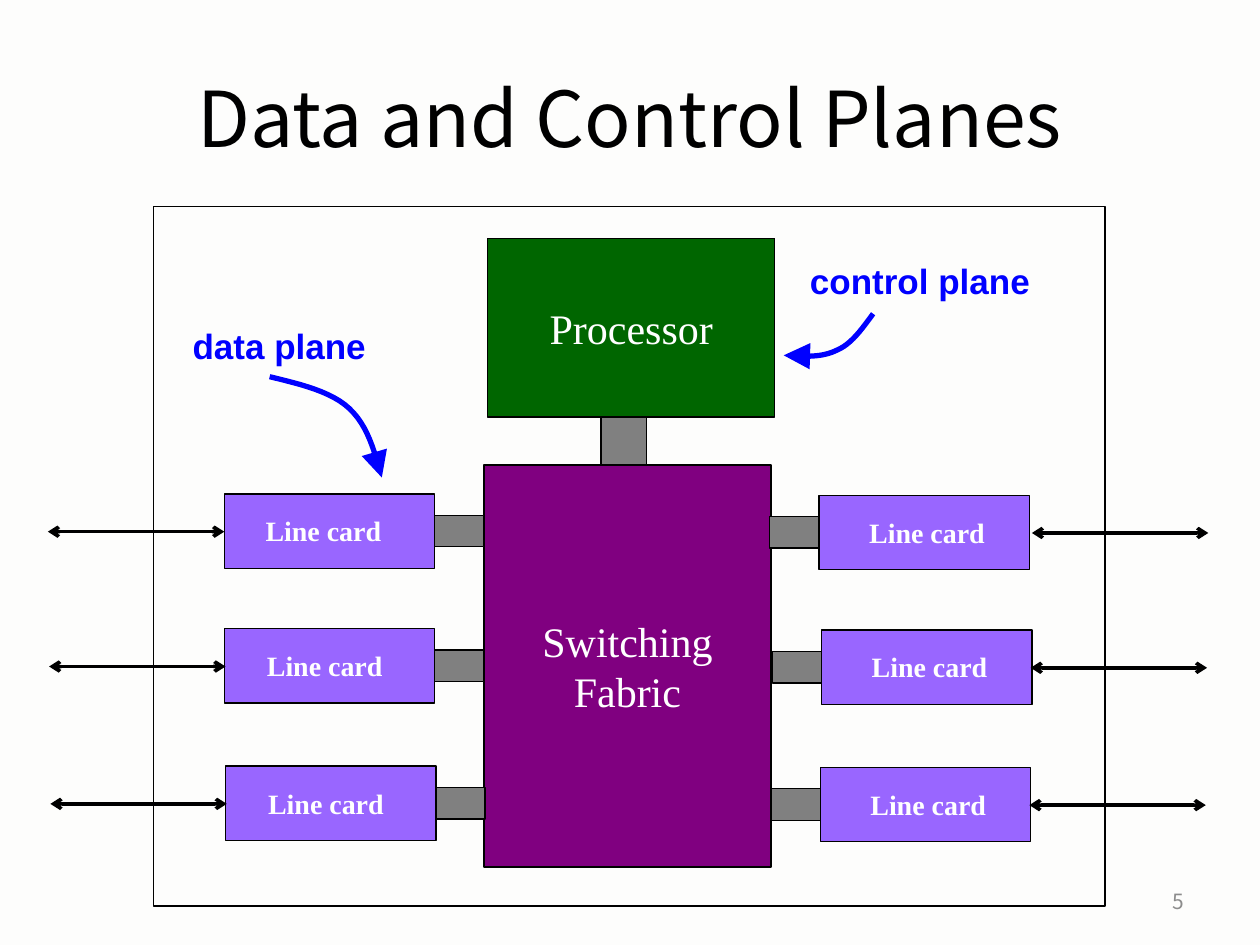
from pptx import Presentation
from pptx.dml.color import RGBColor
from pptx.enum.shapes import MSO_CONNECTOR, MSO_SHAPE
from pptx.enum.text import MSO_ANCHOR, PP_ALIGN
from pptx.oxml.ns import qn
from pptx.util import Inches, Pt
from lxml.etree import SubElement

SERIF, SANS = "Times New Roman", "Noto Sans CJK JP"
CARD_W, CARD_H, STUB_W = 1.67, 0.59, 0.39

prs = Presentation()
prs.slide_width, prs.slide_height = Inches(10), Inches(7.5)
s = prs.slides.add_slide(prs.slide_layouts[5])


def rgb(color):
    return RGBColor.from_string(color)


def write(sp, text, size, font, color, bold=False, align=PP_ALIGN.LEFT,
          anchor=MSO_ANCHOR.TOP, wrap=False):
    tf = sp.text_frame
    tf.word_wrap, tf.vertical_anchor = wrap, anchor
    tf.text = text
    for p in tf.paragraphs:
        p.alignment = align
        for r in p.runs:
            r.font.size, r.font.name, r.font.bold = Pt(size), font, bold
            r.font.color.rgb = rgb(color)


# Background and title
s.background.fill.solid()
s.background.fill.fore_color.rgb = rgb("FDFDFC")
title = s.shapes.title
title.left, title.top, title.width, title.height = map(Inches, (0.5, 0.3, 9, 1.25))
write(title, "Data and Control Planes", 44, SANS, "000000",
      align=PP_ALIGN.CENTER, anchor=MSO_ANCHOR.MIDDLE, wrap=True)

# Boxes: left, top, width, height, fill, text
boxes = [
    (3.84, 3.69, 2.28, 3.19, "800080", "Switching\nFabric"),
    (3.87, 1.89, 2.28, 1.42, "006600", "Processor"),
    (4.77, 3.31, 0.36, 0.38, "808080", ""),
    (1.22, 1.64, 7.55, 5.55, None, ""),
]
# Labels: left, top, width, height, text, size, font, color
labels = [
    (1.43, 2.53, 1.67, 0.43, "data plane", 20, "Arial", "0000FF"),
    (6.33, 2.01, 2.04, 0.43, "control plane", 20, "Arial", "0000FF"),
]
# Lines: from x, to x, y
links = []

# Line cards, three on each side of the fabric
for i, y in enumerate((3.92, 4.99, 6.08)):
    left, right = (1.78, 1.78, 1.79)[i], (6.5, 6.52, 6.51)[i]
    step = 0.01 * i
    sides = [
        (left, y, left + CARD_W, 2.01 + step, 1.78 + step, -1.4),
        (right, y + 0.01, right - STUB_W, right + 0.3, 8.19 - step, 1.4),
    ]
    for card_x, top, stub_x, label_x, link_x, length in sides:
        boxes += [(card_x, top, CARD_W, CARD_H, "9966FF", ""),
                  (stub_x, top + 0.17, STUB_W, 0.25, "808080", "")]
        labels.append((label_x, top + 0.11, 1.12, 0.37, "Line card", 16, SERIF, "FFFFFF"))
        links.append((link_x, link_x + length, top + 0.3))

for x, y, w, h, fill, text in boxes:
    sp = s.shapes.add_shape(MSO_SHAPE.RECTANGLE, *map(Inches, (x, y, w, h)))
    sp.shadow.inherit = False
    if fill:
        sp.fill.solid()
        sp.fill.fore_color.rgb = rgb(fill)
    else:
        sp.fill.background()
    sp.line.color.rgb, sp.line.width = rgb("000000"), Pt(0.75)
    if text:
        write(sp, text, 24, SERIF, "FFFFFF", align=PP_ALIGN.CENTER, anchor=MSO_ANCHOR.MIDDLE)

for x, y, w, h, text, size, font, color in labels:
    sp = s.shapes.add_textbox(*map(Inches, (x, y, w, h)))
    write(sp, text, size, font, color, bold=True, wrap=True)

# Double-headed links to the outside
for x1, x2, y in links:
    link = s.shapes.add_connector(MSO_CONNECTOR.STRAIGHT, *map(Inches, (x1, y, x2, y)))
    link.line.color.rgb, link.line.width = rgb("000000"), Pt(2)
    ln = link.line._get_or_add_ln()
    for end in ("a:headEnd", "a:tailEnd"):
        SubElement(ln, qn(end), type="arrow")
    SubElement(link._element.spPr, qn("a:effectLst"))

# Curved arrows, each made of two cubic curves
curves = [
    [(2.14, 2.99), (2.39, 3.05), (2.63, 3.11), (2.77, 3.24),
     (2.92, 3.38), (2.97, 3.58), (3.03, 3.79)],
    [(6.93, 2.49), (6.84, 2.61), (6.76, 2.73), (6.64, 2.78),
     (6.52, 2.84), (6.37, 2.83), (6.22, 2.82)],
]
for knots in curves:
    points = []
    for start in (0, 3):
        for t in (n / 12 for n in range(1, 13)):
            weights = ((1 - t) ** 3, 3 * t * (1 - t) ** 2, 3 * t ** 2 * (1 - t), t ** 3)
            points.append(tuple(
                Inches(sum(k * knot[axis] for k, knot in zip(weights, knots[start:start + 4])))
                for axis in (0, 1)))
    builder = s.shapes.build_freeform(*map(Inches, knots[0]))
    builder.add_line_segments(points, close=False)
    sp = builder.convert_to_shape()
    sp.shadow.inherit = False
    sp.fill.background()
    sp.line.color.rgb, sp.line.width = rgb("0000FF"), Pt(3)
    ln = sp.line._get_or_add_ln()
    SubElement(ln, qn("a:round"))
    SubElement(ln, qn("a:tailEnd"), type="triangle", w="lg", len="lg")

# Slide number
number = s.shapes.add_textbox(*map(Inches, (7.17, 6.95, 2.33, 0.4)))
write(number, "5", 12, SANS, "8C8C8C", align=PP_ALIGN.RIGHT,
      anchor=MSO_ANCHOR.MIDDLE, wrap=True)

prs.save("out.pptx")
